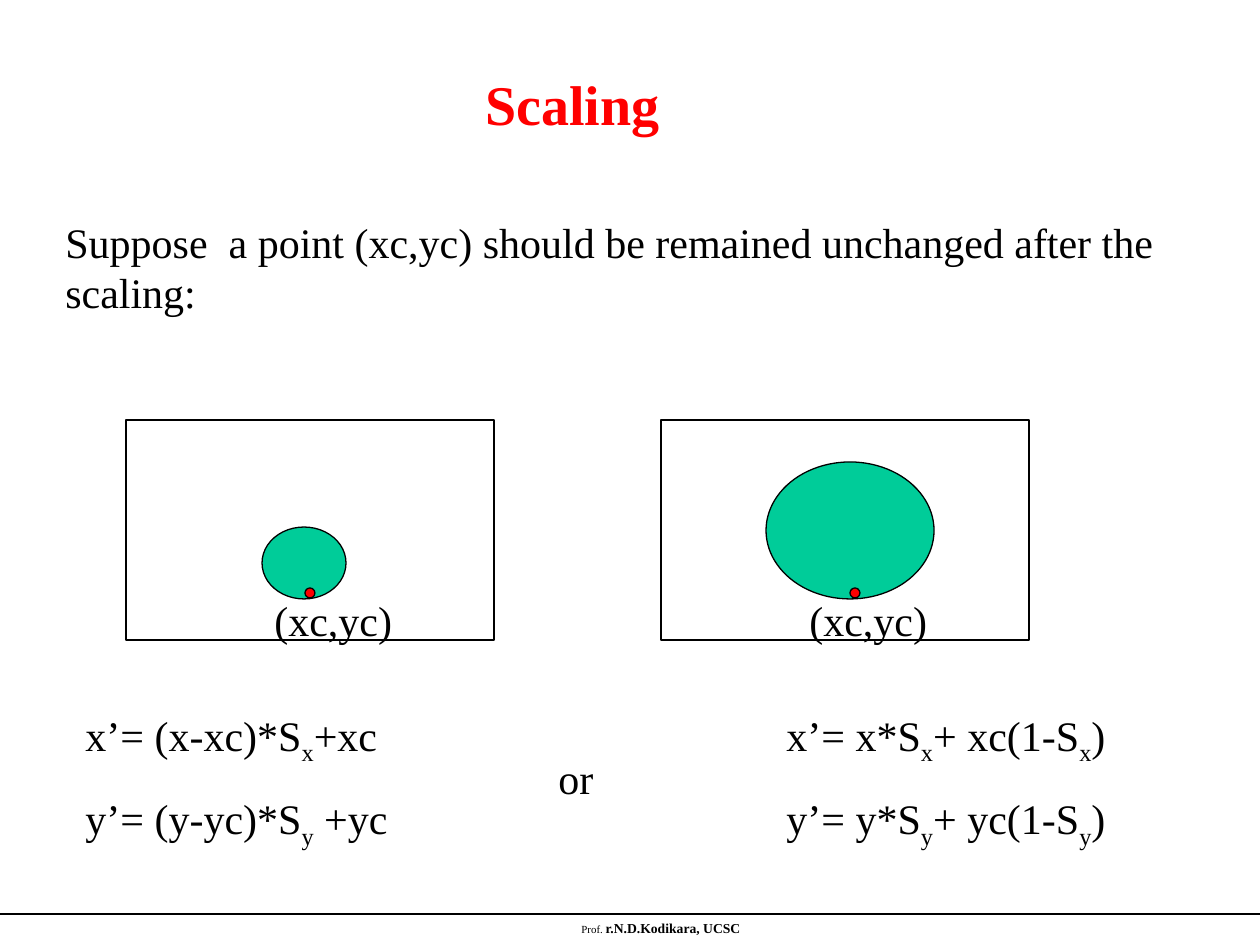
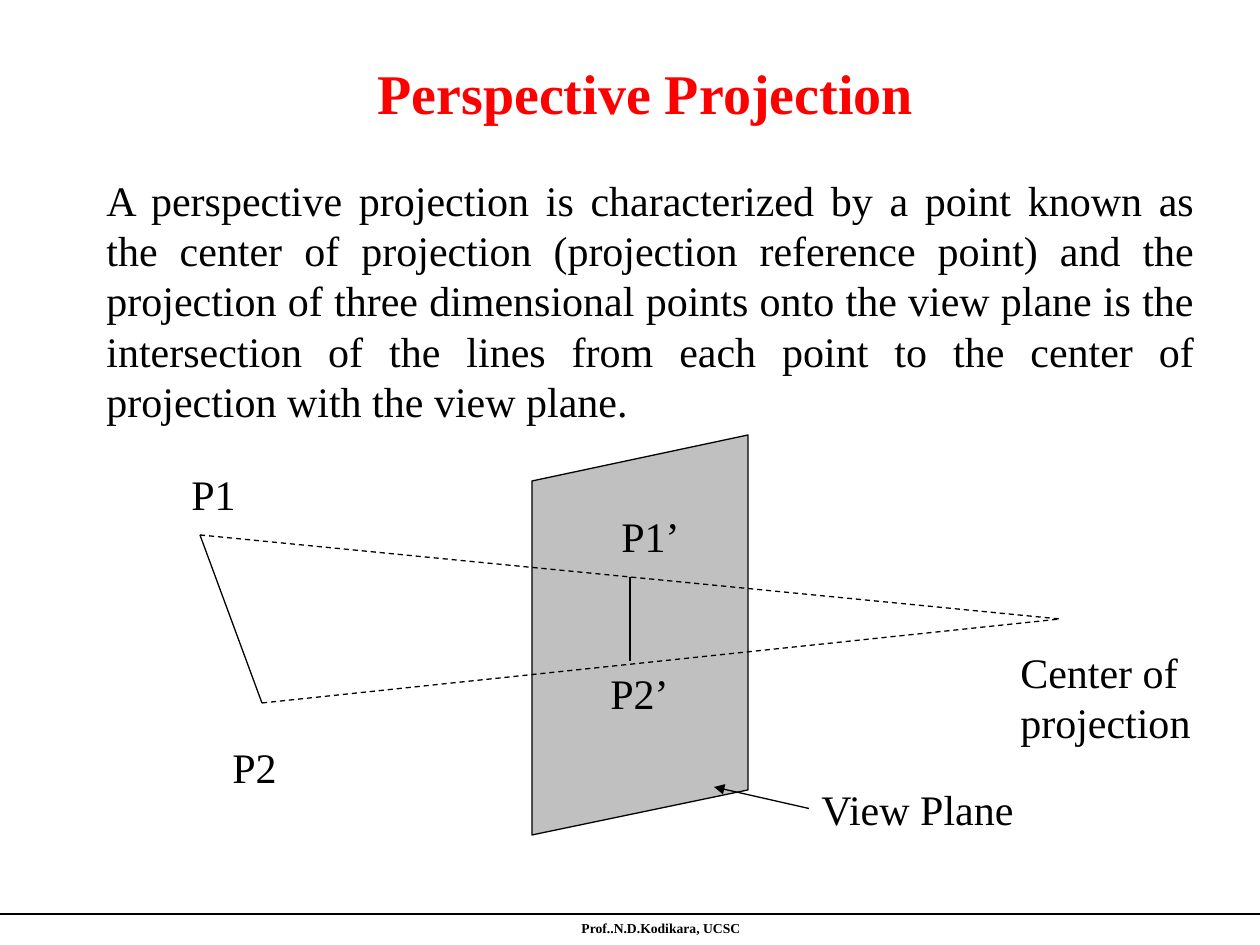
from dataclasses import dataclass

from lxml import etree
from pptx import Presentation
from pptx import util as u
from pptx.dml.color import RGBColor
from pptx.enum import dml, shapes, text
from pptx.oxml.ns import qn

PX = u.Inches(1) / 126
TITLE_ONLY = 5


@dataclass(frozen=True)
class Theme:
    """Colours, fonts and type sizes of both slides."""
    font: str = "Times New Roman"
    ink: RGBColor = RGBColor(0x00, 0x00, 0x00)
    red: RGBColor = RGBColor(0xFF, 0x00, 0x00)
    green: RGBColor = RGBColor(0x00, 0xCC, 0x99)
    grey: RGBColor = RGBColor(0xC0, 0xC0, 0xC0)
    paper: RGBColor = RGBColor(0xFF, 0xFF, 0xFF)
    title_size: float = 32
    body_size: float = 24
    footer_size: float = 7.8
    footer_small: float = 6.2
    line_width: float = 0.75
    paragraph_gap: float = 15


@dataclass(frozen=True)
class Box:
    """A frame in px."""
    left: int
    top: int
    width: int
    height: int

    def emu(self) -> tuple[int, ...]:
        """Return left, top, width and height in EMU."""
        return tuple(emu(n) for n in (self.left, self.top, self.width, self.height))


@dataclass(frozen=True)
class Label:
    """Body text in a frame."""
    words: str
    box: Box
    align: text.PP_ALIGN = text.PP_ALIGN.LEFT


@dataclass(frozen=True)
class Line:
    """A straight line in px, dashed or with an arrowhead at its end."""
    x1: int
    y1: int
    x2: int
    y2: int
    dashed: bool = False
    arrow: bool = False


@dataclass(frozen=True)
class Panel:
    """A framed disc with its fixed point."""
    left: int
    disc: Box
    dot_left: int


THEME = Theme()
FOOTER_LINE = Line(0, 914, 1260, 914)
FOOTER_BOX = Box(94, 914, 1134, 32)

SCALING_INTRO = Label(
    "Suppose  a point (xc,yc) should be remained unchanged after the scaling:",
    Box(53, 210, 1166, 113))
PANELS = (
    Panel(126, Box(262, 527, 84, 72), 305),
    Panel(661, Box(766, 462, 168, 137), 850),
)
EQUATIONS_BOX = Box(73, 703, 1113, 154)
EQUATION_TAB = 701
EQUATIONS = (
    "x’= (x-xc)*S|x|+xc\tx’= x*S|x|+ xc(1-S|x|)",
    "y’= (y-yc)*S|y| +yc\ty’= y*S|y|+ yc(1-S|y|)",
)
OR_LABEL = Label("or", Box(546, 746, 84, 63))

PROJECTION_INTRO = Label(
    "A perspective projection is characterized by a point known as the center of "
    "projection (projection reference point) and the projection of three dimensional "
    "points onto the view plane is the intersection of the lines from each point to "
    "the center of projection with the view plane.",
    Box(94, 168, 1113, 265), text.PP_ALIGN.JUSTIFY)
PLANE_CORNERS = ((532, 481), (748, 435), (748, 790), (532, 835))
POINT_LABELS = (
    Label("P1", Box(179, 462, 126, 63)),
    Label("P2", Box(220, 735, 126, 63)),
    Label("P2’", Box(598, 661, 126, 63)),
    Label("P1’", Box(609, 504, 126, 63)),
    Label("Center of projection", Box(1008, 640, 252, 113)),
)
PLANE_LABEL = Label("View Plane", Box(809, 777, 242, 63))
PLANE_ARROW = Line(809, 808, 714, 787, arrow=True)
PROJECTION_LINES = (
    Line(200, 535, 262, 703),
    Line(200, 535, 1060, 619, dashed=True),
    Line(262, 703, 1060, 619, dashed=True),
    Line(630, 577, 630, 661),
)


def emu(pixels: int) -> int:
    """Turn px into EMU."""
    return round(pixels * PX)


def set_frame(frame) -> None:
    """Give a text frame its shared margins, wrapping and anchor."""
    frame.auto_size = text.MSO_AUTO_SIZE.NONE
    frame.word_wrap = True
    frame.vertical_anchor = text.MSO_ANCHOR.TOP
    frame.margin_left = frame.margin_right = u.Inches(0.1)
    frame.margin_top = frame.margin_bottom = u.Inches(0.05)


def set_font(paragraph, size: float | None = None, color: RGBColor = THEME.ink) -> None:
    """Set the typeface, colour and, where given, size of a paragraph."""
    paragraph.font.name = THEME.font
    paragraph.font.color.rgb = color
    if size:
        paragraph.font.size = u.Pt(size)


def add_frame(slide, box: Box):
    """Add an empty text box."""
    shape = slide.shapes.add_textbox(*box.emu())
    set_frame(shape.text_frame)
    return shape


def add_label(slide, label: Label):
    """Add one paragraph of body text."""
    shape = add_frame(slide, label.box)
    paragraph = shape.text_frame.paragraphs[0]
    paragraph.text = label.words
    paragraph.alignment = label.align
    set_font(paragraph, THEME.body_size)
    return shape


def add_line(slide, line: Line):
    """Add a thin straight connector."""
    connector = slide.shapes.add_connector(
        shapes.MSO_CONNECTOR.STRAIGHT,
        *(emu(n) for n in (line.x1, line.y1, line.x2, line.y2)))
    connector.line.color.rgb = THEME.ink
    connector.line.width = u.Pt(THEME.line_width)
    if line.dashed:
        connector.line.dash_style = dml.MSO_LINE.DASH
    properties = connector._element.spPr
    if line.arrow:
        etree.SubElement(properties.find(qn("a:ln")), qn("a:tailEnd"), type="triangle")
    etree.SubElement(properties, qn("a:effectLst"))
    return connector


def paint(shape, fill: RGBColor) -> None:
    """Give a shape a flat fill and a thin outline."""
    shape.shadow.inherit = False
    shape.fill.solid()
    shape.fill.fore_color.rgb = fill
    shape.line.color.rgb = THEME.ink
    shape.line.width = u.Pt(THEME.line_width)


def add_figure(slide, kind: shapes.MSO_SHAPE, box: Box, fill: RGBColor) -> None:
    """Add a painted preset shape."""
    paint(slide.shapes.add_shape(kind, *box.emu()), fill)


def add_panel(slide, panel: Panel) -> None:
    """Draw a frame, its disc, the fixed point and its label."""
    oval = shapes.MSO_SHAPE.OVAL
    frame = Box(panel.left, 420, 368, 220)
    add_figure(slide, shapes.MSO_SHAPE.RECTANGLE, frame, THEME.paper)
    add_figure(slide, oval, panel.disc, THEME.green)
    add_label(slide, Label("(xc,yc)", Box(panel.left + 136, 588, 158, 63)))
    add_figure(slide, oval, Box(panel.dot_left, 588, 10, 10), THEME.red)


def add_equations(slide) -> None:
    """Write the equations in two tabbed columns with subscripts."""
    frame = add_frame(slide, EQUATIONS_BOX).text_frame
    for index, equation in enumerate(EQUATIONS):
        paragraph = frame.add_paragraph() if index else frame.paragraphs[0]
        if index:
            paragraph.space_before = u.Pt(THEME.paragraph_gap)
        tabs = etree.SubElement(paragraph._p.get_or_add_pPr(), qn("a:tabLst"))
        etree.SubElement(tabs, qn("a:tab"), pos=str(emu(EQUATION_TAB)), algn="l")
        set_font(paragraph, THEME.body_size)
        for position, part in enumerate(equation.split("|")):
            run = paragraph.add_run()
            run.text = part
            if position % 2:
                run._r.get_or_add_rPr().set("baseline", "-25000")


def add_footer(slide, name: str, prefix: str = "") -> None:
    """Draw the footer rule and the lecturer's name."""
    add_line(slide, FOOTER_LINE)
    paragraph = add_frame(slide, FOOTER_BOX).text_frame.paragraphs[0]
    paragraph.alignment = text.PP_ALIGN.CENTER
    set_font(paragraph)
    parts = ((prefix, THEME.footer_small, False), (name, THEME.footer_size, True))
    for words, size, bold in parts:
        if words:
            run = paragraph.add_run()
            run.text = words
            run.font.size = u.Pt(size)
            run.font.bold = bold


def add_titled_slide(presentation, title: str, box: Box):
    """Add a slide with a red centred title."""
    slide = presentation.slides.add_slide(presentation.slide_layouts[TITLE_ONLY])
    shape = slide.shapes.title
    shape.left, shape.top, shape.width, shape.height = box.emu()
    set_frame(shape.text_frame)
    paragraph = shape.text_frame.paragraphs[0]
    paragraph.text = title
    paragraph.alignment = text.PP_ALIGN.CENTER
    set_font(paragraph, THEME.title_size, THEME.red)
    paragraph.font.bold = True
    return slide


def build_scaling(presentation) -> None:
    """Build the slide on scaling about a fixed point."""
    slide = add_titled_slide(presentation, "Scaling", Box(158, 63, 829, 81))
    add_footer(slide, "r.N.D.Kodikara, UCSC", "Prof. ")
    add_label(slide, SCALING_INTRO)
    for panel in PANELS:
        add_panel(slide, panel)
    add_equations(slide)
    add_label(slide, OR_LABEL)


def build_projection(presentation) -> None:
    """Build the slide on perspective projection."""
    slide = add_titled_slide(presentation, "Perspective Projection", Box(105, 52, 1081, 81))
    add_footer(slide, "Prof..N.D.Kodikara, UCSC")
    add_label(slide, PROJECTION_INTRO)
    builder = slide.shapes.build_freeform(*PLANE_CORNERS[0], scale=PX)
    builder.add_line_segments(PLANE_CORNERS[1:], close=True)
    paint(builder.convert_to_shape(), THEME.grey)
    for label in POINT_LABELS:
        add_label(slide, label)
    plane_label = add_label(slide, PLANE_LABEL)
    add_line(slide, PLANE_ARROW).begin_connect(plane_label, 1)
    for line in PROJECTION_LINES:
        add_line(slide, line)


def main() -> None:
    """Build and save the presentation."""
    presentation = Presentation()
    presentation.slide_width = emu(1260)
    presentation.slide_height = emu(945)
    build_scaling(presentation)
    build_projection(presentation)
    presentation.save("out.pptx")


if __name__ == "__main__":
    main()
